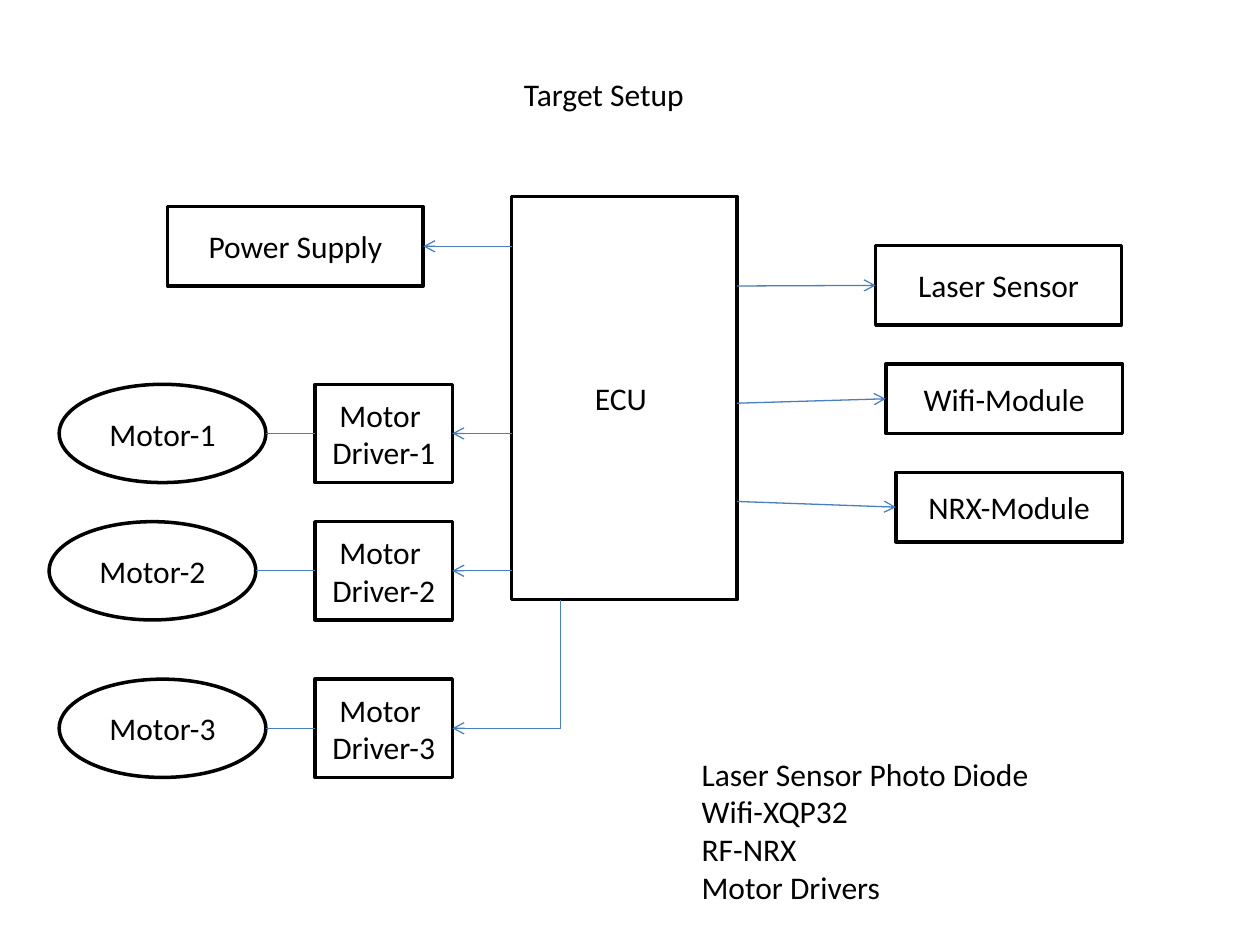
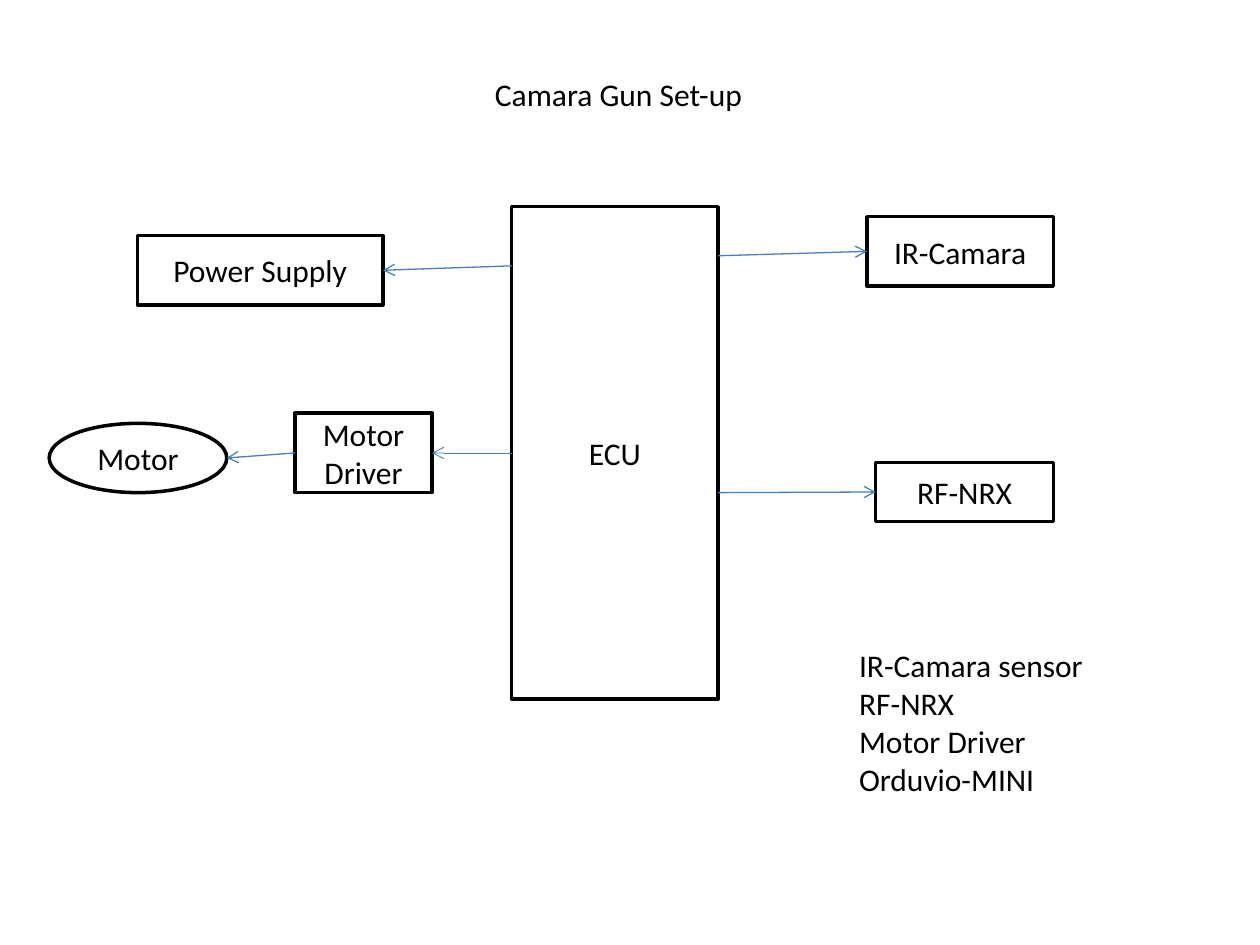
from dataclasses import dataclass
from typing import Any, Optional

from lxml import etree
from pptx import Presentation
from pptx.dml.color import RGBColor
from pptx.enum.shapes import MSO_CONNECTOR as Conn
from pptx.enum.shapes import MSO_SHAPE as Geo
from pptx.enum.text import MSO_ANCHOR as Anchor
from pptx.enum.text import MSO_AUTO_SIZE as AutoSize
from pptx.enum.text import PP_ALIGN as Align
from pptx.oxml.ns import qn
from pptx.util import Inches, Pt


# Shared look
@dataclass(frozen=True)
class Theme:
    font: str = "Calibri"
    size: float = 18
    ink: RGBColor = RGBColor(0x00, 0x00, 0x00)
    paper: RGBColor = RGBColor(0xFF, 0xFF, 0xFF)
    wire: RGBColor = RGBColor(0x4B, 0x7E, 0xBC)
    outline_width: float = 2
    wire_width: float = 0.75


THEME = Theme()
TITLE_TOP, TITLE_HEIGHT = 0.55, 0.4
PARTS_HEIGHT = 1.31


# Elements of a block diagram
@dataclass(frozen=True)
class Node:
    text: str
    left: float
    top: float
    width: float
    height: float
    geo: Any = Geo.RECTANGLE

    @property
    def right(self) -> float:
        return self.left + self.width

    @property
    def bottom(self) -> float:
        return self.top + self.height

    @property
    def middle(self) -> float:
        return self.top + self.height / 2


@dataclass(frozen=True)
class Link:
    """Joins facing sides; it leaves at y and ends at the target's middle."""
    source: Node
    target: Node
    y: Optional[float] = None
    arrow: bool = True
    width: float = THEME.wire_width


@dataclass(frozen=True)
class Label:
    text: str
    left: float
    top: float
    width: float
    height: float


def apply(obj: Any, values: dict[str, Any]) -> None:
    for name, value in values.items():
        setattr(obj, name, value)


def write(tf: Any, text: str, align: Any) -> None:
    for i, line in enumerate(text.split("\n")):
        p = tf.paragraphs[0] if i == 0 else tf.add_paragraph()
        p.alignment = align
        r = p.add_run()
        r.text = line
        apply(r.font, {"name": THEME.font, "size": Pt(THEME.size)})
        r.font.color.rgb = THEME.ink


def draw_node(s: Any, node: Node) -> None:
    box = (node.left, node.top, node.width, node.height)
    sp = s.shapes.add_shape(node.geo, *map(Inches, box))
    sp.shadow.inherit = False
    sp.fill.solid()
    sp.fill.fore_color.rgb = THEME.paper
    sp.line.color.rgb = THEME.ink
    sp.line.width = Pt(THEME.outline_width)
    apply(sp.text_frame, {"word_wrap": True, "vertical_anchor": Anchor.MIDDLE})
    write(sp.text_frame, node.text, Align.CENTER)


def draw_label(s: Any, label: Label) -> None:
    box = (label.left, label.top, label.width, label.height)
    tf = s.shapes.add_textbox(*map(Inches, box)).text_frame
    apply(tf, {"word_wrap": False, "auto_size": AutoSize.SHAPE_TO_FIT_TEXT})
    write(tf, label.text, Align.LEFT)


def draw_wire(s: Any, kind: Any, ends: tuple[float, ...], arrow: bool,
              width: float = THEME.wire_width) -> Any:
    cx = s.shapes.add_connector(kind, *map(Inches, ends))
    cx.line.color.rgb = THEME.wire
    cx.line.width = Pt(width)
    if arrow:
        etree.SubElement(cx.line._get_or_add_ln(), qn("a:tailEnd"), type="arrow")
    etree.SubElement(cx._element.spPr, qn("a:effectLst"))
    return cx


def draw_link(s: Any, link: Link) -> None:
    a, b = link.source, link.target
    x1, x2 = (a.right, b.left) if a.left < b.left else (a.left, b.right)
    y = a.middle if link.y is None else link.y
    draw_wire(s, Conn.STRAIGHT, (x1, y, x2, b.middle), link.arrow, link.width)


def draw_corner(s: Any, source: Node, x: float, target: Node) -> None:
    """Runs down from the source's bottom at x, then left into the target."""
    down, across = target.middle - source.bottom, x - target.right
    mid_x, mid_y = x - across / 2, source.bottom + down / 2
    # The bend is laid out sideways and turned by a quarter
    ends = (mid_x - down / 2, mid_y - across / 2,
            mid_x + down / 2, mid_y + across / 2)
    cx = draw_wire(s, Conn.ELBOW, ends, True)
    sp_pr = cx._element.spPr
    sp_pr.find(qn("a:xfrm")).set("rot", str(90 * 60000))
    sp_pr.find(qn("a:prstGeom")).set("prst", "bentConnector2")


def draw_diagram(prs: Any, title: Label, nodes: list[Node], links: list[Link],
                 parts: Label) -> Any:
    s = prs.slides.add_slide(prs.slide_layouts[6])
    for node in nodes:
        draw_node(s, node)
    for link in links:
        draw_link(s, link)
    for label in (parts, title):
        draw_label(s, label)
    return s


# Slide 1: target
def target_setup(prs: Any) -> None:
    ecu = Node("ECU ", 4.06, 1.56, 1.79, 3.2)
    power = Node("Power Supply", 1.33, 1.64, 2.03, 0.63)
    laser = Node("Laser Sensor", 6.95, 1.95, 1.95, 0.63)
    wifi = Node("Wifi-Module", 7.03, 2.89, 1.88, 0.55)
    radio = Node("NRX-Module", 7.11, 3.75, 1.8, 0.55)
    rows = [(0.47, 3.05), (0.39, 4.14), (0.47, 5.39)]
    drivers = [Node(f"Motor \nDriver-{n}", 2.5, top, 1.09, 0.78)
               for n, (_, top) in enumerate(rows, 1)]
    motors = [Node(f"Motor-{n}", left, top, 1.64, 0.78, Geo.OVAL)
              for n, (left, top) in enumerate(rows, 1)]
    links = [Link(d, m, arrow=False) for d, m in zip(drivers, motors)]
    links += [Link(ecu, d, d.middle) for d in (power, *drivers[:2])]
    links += [Link(ecu, laser, 2.27), Link(ecu, wifi, 3.2),
              Link(ecu, radio, 3.98)]
    s = draw_diagram(
        prs, Label("Target Setup", 4.06, TITLE_TOP, 1.49, TITLE_HEIGHT),
        [ecu, power, *drivers, *motors, laser, wifi, radio], links,
        Label("Laser Sensor Photo Diode\nWifi-XQP32\nRF-NRX\nMotor Drivers",
              5.47, 5.94, 2.83, PARTS_HEIGHT))
    draw_corner(s, ecu, 4.45, drivers[2])


# Slide 2: camera gun
def camera_gun_setup(prs: Any) -> None:
    ecu = Node("ECU", 4.06, 1.64, 1.64, 3.91)
    driver = Node("Motor\nDriver", 2.34, 3.28, 1.09, 0.63)
    motor = Node("Motor", 0.39, 3.36, 1.41, 0.55, Geo.OVAL)
    power = Node("Power Supply", 1.09, 1.87, 1.95, 0.55)
    camera = Node("IR-Camara", 6.88, 1.72, 1.48, 0.55)
    radio = Node("RF-NRX", 6.95, 3.67, 1.41, 0.47)
    links = [Link(ecu, driver, width=0.5), Link(driver, motor),
             Link(ecu, radio, 3.91), Link(ecu, power, 2.11),
             Link(ecu, camera, 2.03)]
    draw_diagram(
        prs, Label("Camara Gun Set-up", 3.83, TITLE_TOP, 2.19, TITLE_HEIGHT),
        [ecu, driver, motor, power, camera, radio], links,
        Label("IR-Camara sensor\nRF-NRX\nMotor Driver\nOrduvio-MINI",
              6.72, 5.08, 2, PARTS_HEIGHT))


def main() -> None:
    prs = Presentation()
    apply(prs, {"slide_width": Inches(10), "slide_height": Inches(7.5)})
    target_setup(prs)
    camera_gun_setup(prs)
    prs.save("out.pptx")


if __name__ == "__main__":
    main()
